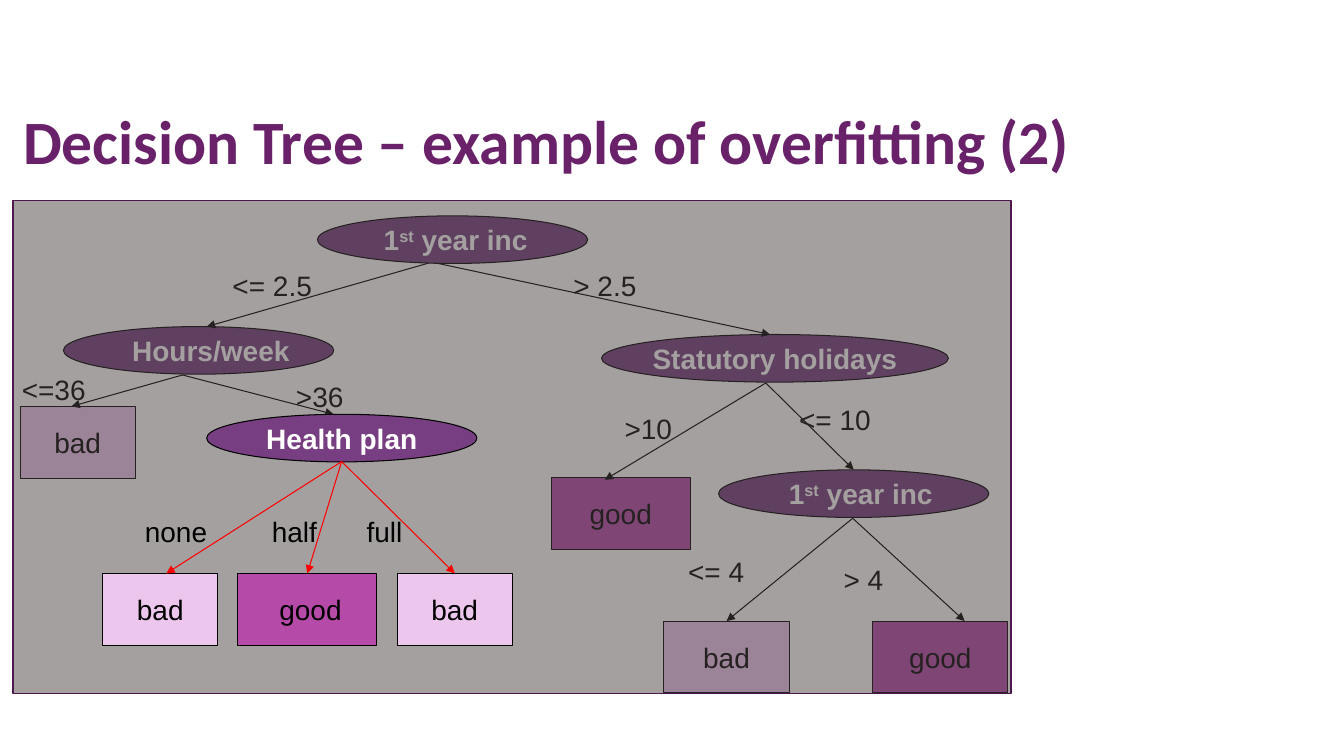
from lxml import etree
from pptx import Presentation
from pptx.dml.color import RGBColor
from pptx.enum.shapes import MSO_CONNECTOR as CONN, MSO_SHAPE as SHAPE
from pptx.enum.text import MSO_ANCHOR as ANCHOR, PP_ALIGN as ALIGN
from pptx.oxml.ns import qn
from pptx.util import Cm, Pt

PLUM, TITLE, VEIL, VEIL_LINE = "783E82", "69216A", "4A4342", "4E184E"
BAD, GOOD = "EDC6ED", "B64AA9"
BLACK, WHITE, RED = "000000", "FFFFFF", "FF0000"
OVAL_H, LEAF_H, LABEL_H = 1.2, 1.81, 1.09


def rgb(value):
    return RGBColor.from_string(value)


class TreeSlide:
    """Holds the slide and draws the parts of a decision tree (lengths in cm)."""
    font, size, line_width = "Arial", 20, 0.75

    def __init__(self, prs):
        self.s = prs.slides.add_slide(prs.slide_layouts[5])

    def style(self, r, color, bold=False, size=None, font=None):
        r.font.name = font or self.font
        r.font.size = Pt(size or self.size)
        r.font.bold = bold
        r.font.color.rgb = rgb(color)

    def title(self, text, left, top, width, height):
        sp = self.s.shapes.title
        sp.left, sp.top, sp.width, sp.height = map(Cm, (left, top, width, height))
        tf = sp.text_frame
        tf.text = text
        tf.vertical_anchor = ANCHOR.MIDDLE
        p = tf.paragraphs[0]
        p.alignment = ALIGN.LEFT
        p.line_spacing = 0.9
        self.style(p.runs[0], TITLE, True, 44, "Calibri")

    def shape(self, kind, left, top, width, height, fill, line=BLACK, weight=None):
        sp = self.s.shapes.add_shape(kind, Cm(left), Cm(top), Cm(width), Cm(height))
        sp.shadow.inherit = False
        sp.fill.solid()
        sp.fill.fore_color.rgb = rgb(fill)
        sp.line.color.rgb = rgb(line)
        sp.line.width = Pt(weight or self.line_width)
        return sp

    def caption(self, sp, text, color, bold, shift):
        """Centre text in a shape; parts between ^ marks are superscript."""
        tf = sp.text_frame
        tf.word_wrap = False
        tf.vertical_anchor = ANCHOR.MIDDLE
        tf.margin_top = tf.margin_bottom = tf.margin_right = 0
        tf.margin_left = Cm(2 * shift)
        p = tf.paragraphs[0]
        p.alignment = ALIGN.CENTER
        for i, part in enumerate(text.split("^")):
            r = p.add_run()
            r.text = part
            self.style(r, color, bold)
            if i % 2:
                r._r.get_or_add_rPr().set("baseline", "30000")

    def test(self, text, left, top, width=6.81, shift=0):
        sp = self.shape(SHAPE.OVAL, left, top, width, OVAL_H, PLUM)
        self.caption(sp, text, WHITE, True, shift)
        return sp

    def leaf(self, text, left, top, width, shift=0):
        fill = GOOD if text == "good" else BAD
        sp = self.shape(SHAPE.RECTANGLE, left, top, width, LEAF_H, fill)
        self.caption(sp, text, BLACK, False, shift)
        return sp

    def label(self, text, left, top, width=3.76):
        sp = self.s.shapes.add_textbox(Cm(left), Cm(top), Cm(width), Cm(LABEL_H))
        tf = sp.text_frame
        tf.word_wrap = True
        tf.text = text
        self.style(tf.paragraphs[0].runs[0], BLACK)

    def branch(self, start, end, target=None, color=BLACK):
        c = self.s.shapes.add_connector(CONN.STRAIGHT, *map(Cm, start + end))
        if target is not None:
            c.end_connect(target, 0)
        c.line.color.rgb = rgb(color)
        c.line.width = Pt(self.line_width)
        sp_pr = c._element.spPr
        etree.SubElement(sp_pr.find(qn("a:ln")), qn("a:tailEnd"), type="triangle")
        etree.SubElement(sp_pr, qn("a:effectLst"))

    def veil(self, left, top, width, height):
        sp = self.shape(SHAPE.RECTANGLE, left, top, width, height, VEIL, VEIL_LINE, 1)
        clr = sp._element.spPr.find(qn("a:solidFill"))[0]
        etree.SubElement(clr, qn("a:alpha"), val="50000")


def main():
    prs = Presentation()
    prs.slide_width, prs.slide_height = Cm(33.87), Cm(19.05)
    tree = TreeSlide(prs)
    tree.title("Decision Tree – example of overfitting (2)", 0.33, 2.59, 29.21, 2.11)

    # Dimmed tests and leaves
    tree.test("1^st^ year inc", 8, 5.44, shift=0.08)
    tree.test("Hours/week", 1.6, 8.23, shift=0.31)
    tree.test("Statutory holidays", 15.16, 8.43, 8.74)
    income = tree.test("1^st^ year inc", 18.11, 11.84, shift=0.18)
    tree.leaf("bad", 0.51, 10.24, 2.9)
    tree.leaf("good", 13.89, 12.04, 3.51)
    low_income = tree.leaf("bad", 16.71, 15.65, 3.2)
    tree.leaf("good", 22, 15.65, 3.4)

    # Dimmed branches
    hours, holidays, second_income = (4.6, 9.45), (19.3, 9.65), (21.49, 13.06)
    for start, end, target in [
        ((10.8, 6.63), (5.21, 8.23), None),
        ((11, 6.63), (19.41, 8.43), None),
        (hours, (1.8, 10.24), None),
        (hours, (8.41, 10.44), None),
        (holidays, (15.24, 12.09), None),
        (holidays, (21.49, 11.84), income),
        (second_income, (18.31, 15.65), low_income),
        (second_income, (24.31, 15.65), None),
    ]:
        tree.branch(start, end, target)
    for text, left, top in [
        ("<= 2.5", 5.61, 6.63), ("> 2.5", 14.2, 6.63),
        ("<=36", 0.3, 9.25), (">36", 7.21, 9.45),
        (">10", 15.49, 10.24), ("<= 10", 19.89, 10.03),
        ("<= 4", 17.09, 13.84), ("> 4", 21.01, 14.05),
    ]:
        tree.label(text, left, top)

    # Veil over the tree
    tree.veil(0.33, 5.05, 25.15, 12.42)

    # Highlighted subtree
    tree.test("Health plan", 5.21, 10.44)
    leaf_top, plan = 14.45, (8.61, 11.63)
    tree.leaf("bad", 2.59, leaf_top, 2.9)
    good_half = tree.leaf("good", 5.99, leaf_top, 3.51, 0.08)
    bad_full = tree.leaf("bad", 10.01, leaf_top, 2.9)
    for text, left, tip, target in [
        ("none", 3.4, 4.19, None),
        ("half", 6.6, 7.8, good_half),
        ("full", 8.99, 11.4, bad_full),
    ]:
        tree.branch(plan, (tip, leaf_top), target, RED)
        tree.label(text, left, 12.85, 2.77)

    prs.save("out.pptx")


if __name__ == "__main__":
    main()
